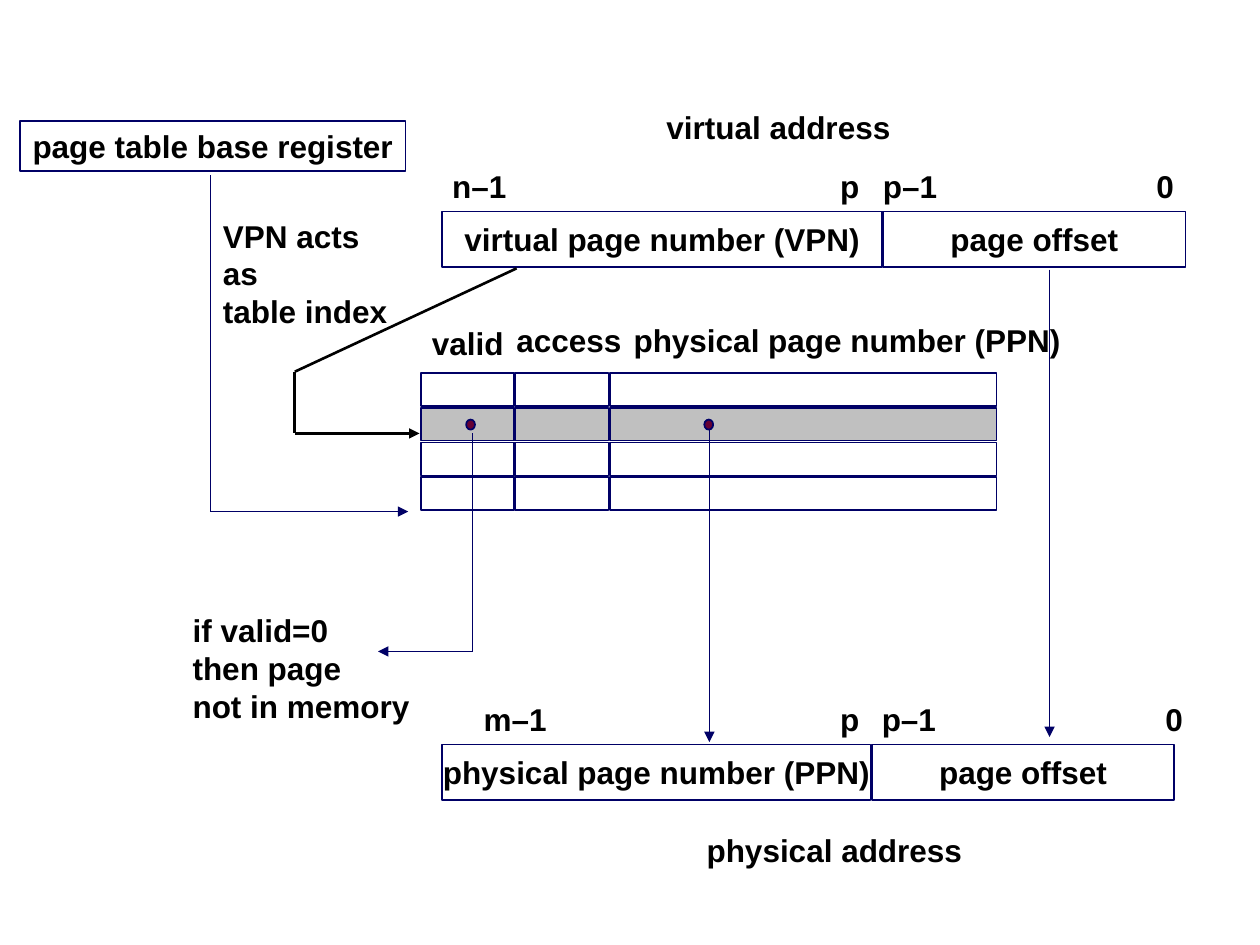
from collections import namedtuple
from itertools import pairwise

from lxml.etree import SubElement
from pptx import Presentation
from pptx.dml.color import RGBColor
from pptx.enum.shapes import MSO_CONNECTOR, MSO_SHAPE
from pptx.enum.text import MSO_ANCHOR, MSO_AUTO_SIZE, PP_ALIGN
from pptx.oxml.ns import qn
from pptx.util import Inches, Pt

COLUMNS, ROWS = 100, 75
SLIDE_WIDTH, SLIDE_HEIGHT = Inches(10), Inches(7.5)
NAVY, BLACK, WHITE, GREY, MAROON = "000066", "000000", "FFFFFF", "C0C0C0", "660033"
LABEL_FONT = {"name": "Arial", "size": Pt(18), "bold": True}
LABEL_ROWS = 4
BIT_ROWS_ABOVE = 4.05

Box = namedtuple("Box", "left top width height")


def colour(value):
    return RGBColor.from_string(value)


def across(columns):
    return round(SLIDE_WIDTH * columns / COLUMNS)


def down(rows):
    return round(SLIDE_HEIGHT * rows / ROWS)


def inside(box, left, top, width, height):
    return Box(box.left + left, box.top + top, width, height)


def place(box):
    return across(box.left), down(box.top), across(box.width), down(box.height)


def write(frame, text, align, layout):
    for name, value in layout.items():
        setattr(frame, name, value)
    frame.text = text
    for paragraph in frame.paragraphs:
        paragraph.alignment = align
        for name, value in LABEL_FONT.items():
            setattr(paragraph.font, name, value)
        paragraph.font.color.rgb = colour(BLACK)


def label(slide, box, text, wrap=False):
    write(slide.shapes.add_textbox(*place(box)).text_frame, text, PP_ALIGN.LEFT,
          {"word_wrap": wrap, "auto_size": MSO_AUTO_SIZE.SHAPE_TO_FIT_TEXT})


def block(slide, box, fill=WHITE, text="", kind=MSO_SHAPE.RECTANGLE):
    outline = slide.shapes.add_shape(kind, *place(box))
    outline.shadow.inherit = False
    outline.fill.solid()
    outline.fill.fore_color.rgb = colour(fill)
    outline.line.color.rgb = colour(NAVY)
    outline.line.width = Pt(1)
    if text:
        write(outline.text_frame, text, PP_ALIGN.CENTER,
              {"word_wrap": False, "vertical_anchor": MSO_ANCHOR.MIDDLE})


def route(slide, box, stops, ink=NAVY, weight=1):
    points = [(across(box.left + x), down(box.top + y)) for x, y in stops]
    for start, end in pairwise(points):
        leg = slide.shapes.add_connector(MSO_CONNECTOR.STRAIGHT, *start, *end)
        leg.line.color.rgb = colour(ink)
        leg.line.width = Pt(weight)
        if end == points[-1]:
            SubElement(leg.get_or_add_ln(), qn("a:tailEnd"), type="triangle")
        SubElement(leg.element.spPr, qn("a:effectLst"))


def address(slide, box, title, title_box, fields, bits):
    left = 0
    for text, width in fields:
        block(slide, inside(box, left, 0, width, box.height), text=text)
        left += width + 0.1
    label(slide, inside(box, *title_box), title)
    for text, bit_left, width in bits:
        label(slide, inside(box, bit_left, -BIT_ROWS_ABOVE, width, LABEL_ROWS), text)


def base_register(slide, box):
    block(slide, box, text="page table base register")
    route(slide, box, [(15.1, 4.3), (15.1, 31), (30.8, 31)])


def page_table(slide, box):
    gap = 0.15
    entries = 4
    pitch = (box.height + gap) / entries
    fields = [("valid", 0, 7.4, -0.1, -4.4, 7.7),
              ("access", 7.5, 7.4, 6.6, -4.6, 10.6),
              ("physical page number (PPN)", 15, 30.7, 15.9, -4.6, 35.9)]
    for text, left, width, label_left, label_top, label_width in fields:
        for entry in range(entries):
            block(slide, inside(box, left, entry * pitch, width, pitch - gap),
                  GREY if entry == 1 else WHITE)
        label(slide, inside(box, label_left, label_top, label_width, LABEL_ROWS), text)
    for dot_left in (3.6, 22.5):
        block(slide, inside(box, dot_left, 3.7, 0.7, 0.8), MAROON, kind=MSO_SHAPE.OVAL)
    route(slide, box, [(22.9, 4.5), (22.9, 29.3)])
    route(slide, box, [(4.1, 4.8), (4.1, 22.1), (-3.4, 22.1)])
    label(slide, inside(box, -19.1, 18.4, 19.2, 10), "if valid=0\nthen page\nnot in memory")


def table_index(slide, box):
    label(slide, inside(box, 0, 0, 15.8, 10), "VPN acts as\ntable index", wrap=True)
    route(slide, box, [(24.3, 4.6), (6.7, 12.8), (6.7, 17.7), (16.6, 17.7)], BLACK, 1.5)


def main():
    deck = Presentation()
    deck.slide_width, deck.slide_height = SLIDE_WIDTH, SLIDE_HEIGHT
    slide = deck.slides.add_slide(deck.slide_layouts[6])
    virtual = Box(35.1, 16.8, 59, 4.4)
    address(slide, virtual, "virtual address", (16.8, -8.7, 19.8, LABEL_ROWS),
            [("virtual page number (VPN)", 34.9), ("page offset", 24)],
            [("n–1", -0.2, 6.3), ("p", 30.6, 3.5), ("p–1", 34, 6.3), ("0", 55.7, 3.4)])
    address(slide, Box(35.1, 59.1, 58.1, 4.4), "physical address",
            (20, 6.4, 22.3, LABEL_ROWS),
            [("physical page number (PPN)", 34), ("page offset", 24)],
            [("m–1", 2.3, 7), ("p", 30.6, 3.5), ("p–1", 33.9, 6.3), ("0", 56.4, 3.4)])
    route(slide, virtual, [(48.2, 4.6), (48.2, 41.7)])
    base_register(slide, Box(1.6, 9.6, 30.6, 4))
    page_table(slide, Box(33.4, 29.6, 45.7, 10.9))
    table_index(slide, Box(16.7, 16.7, 24.3, 17.7))
    deck.save("out.pptx")


if __name__ == "__main__":
    main()
